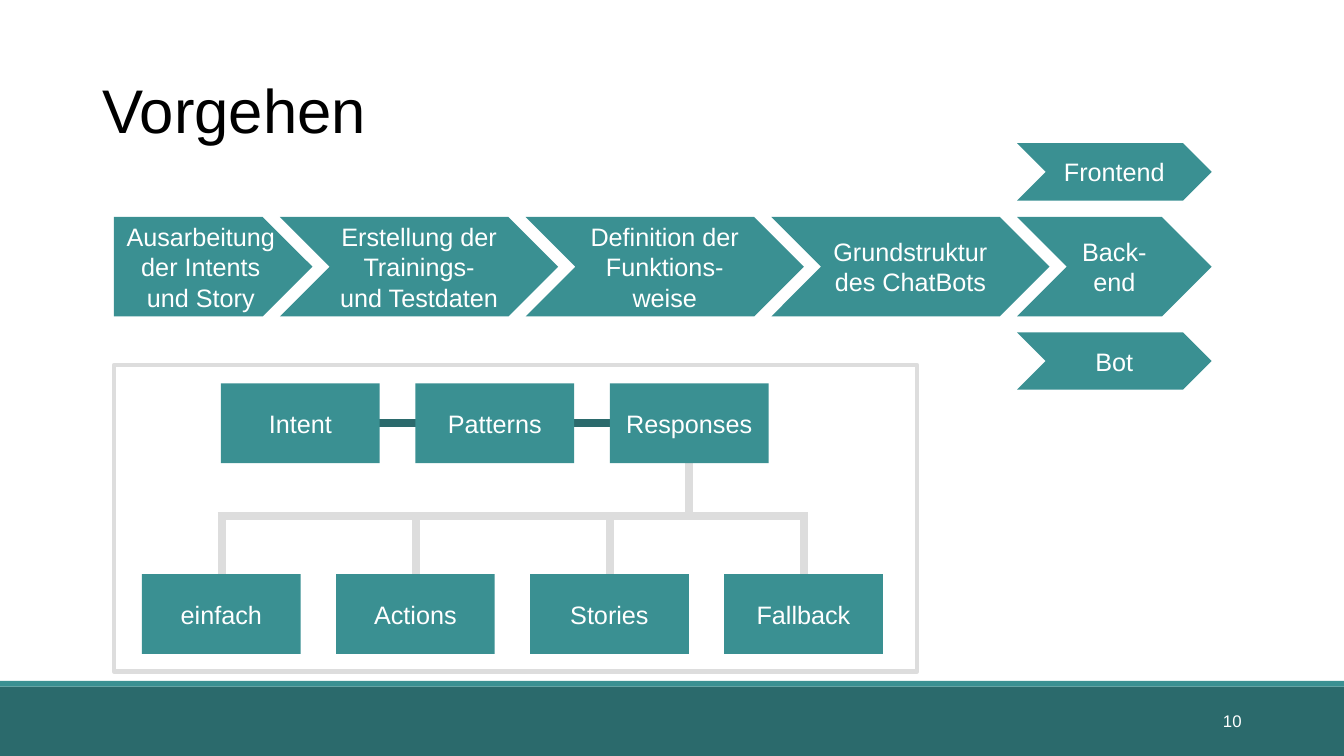
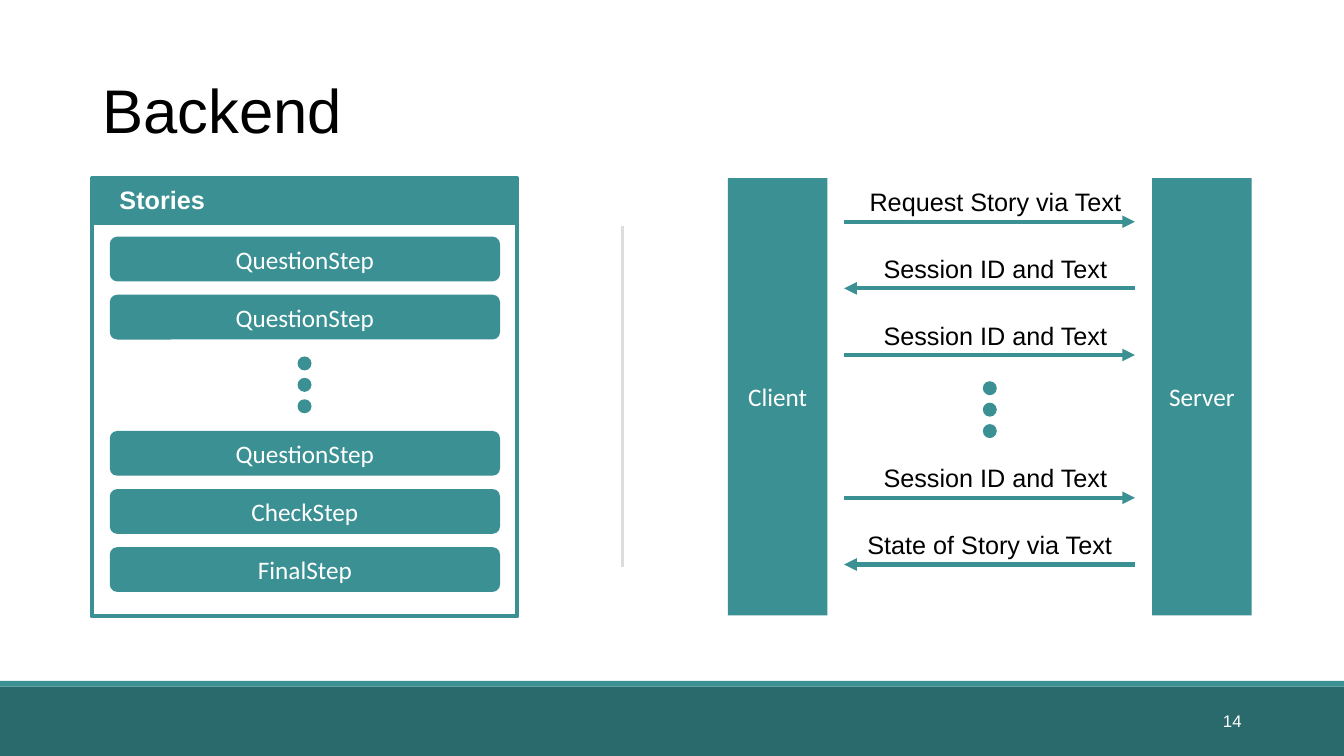
"""Builds two slides on a chatbot: the project steps and the backend."""
from dataclasses import dataclass

from lxml.etree import SubElement
from pptx import Presentation
from pptx.dml.color import RGBColor as Rgb
from pptx.enum.shapes import MSO_CONNECTOR as Wire, MSO_SHAPE as Kind
from pptx.enum.text import MSO_ANCHOR as Anchor, PP_ALIGN as Align
from pptx.oxml.ns import qn
from pptx.util import Pt


@dataclass(frozen=True)
class Theme:
    dark: Rgb = Rgb.from_string("2B6A6C")
    teal: Rgb = Rgb.from_string("3A9092")
    grey: Rgb = Rgb.from_string("DDDDDD")
    white: Rgb = Rgb.from_string("FFFFFF")
    black: Rgb = Rgb.from_string("000000")
    sans: str = "Arial"
    soft: str = "Calibri"
    head: float = 44
    body: float = 18
    foot: float = 12


theme = Theme()


def box(page, kind, place, text="", fill=None, edge=None, color=theme.white,
        size=theme.body, face=theme.sans, align=Align.CENTER):
    place = [Pt(n) for n in place]
    if kind is None:
        shape = page.shapes.add_textbox(*place)
    else:
        shape = page.shapes.add_shape(kind, *place)
        shape.shadow.inherit = False
        if fill is None:
            shape.fill.background()
        else:
            shape.fill.solid()
            shape.fill.fore_color.rgb = fill
        if edge is None:
            shape.line.fill.background()
        else:
            shape.line.color.rgb = edge
            shape.line.width = Pt(3)
    if text:
        frame = shape.text_frame
        frame.word_wrap = True
        frame.vertical_anchor = Anchor.MIDDLE
        para = frame.paragraphs[0]
        para.text = text
        para.alignment = align
        para.font.name = face
        para.font.size = Pt(size)
        para.font.color.rgb = color
    return shape


def link(page, start, end, color, width, arrow=False):
    wire = page.shapes.add_connector(Wire.STRAIGHT, *[Pt(n) for n in (*start, *end)])
    wire.line.color.rgb = color
    wire.line.width = Pt(width)
    if arrow:
        SubElement(wire.get_or_add_ln(), qn("a:tailEnd"), type="triangle")
    SubElement(wire.element.spPr, qn("a:effectLst"))


deck = Presentation()
deck.slide_width, deck.slide_height = Pt(960), Pt(540)

pages = []
for title, number in (("Vorgehen", "10"), ("Backend", "14")):
    page = deck.slides.add_slide(deck.slide_layouts[6])
    box(page, Kind.RECTANGLE, (0, 490.4, 960, 49.6), fill=theme.dark)
    box(page, Kind.RECTANGLE, (0, 486.4, 960, 4.2), fill=theme.teal)
    head = box(page, None, (66, 28.8, 828, 104.4), title, color=theme.black,
               size=theme.head, align=Align.LEFT)
    head.text_frame.paragraphs[0].line_spacing = 0.9
    box(page, None, (678, 500.5, 216, 28.8), number, size=theme.foot, align=Align.RIGHT)
    pages.append(page)
steps, back = pages

first, pitch, top, high = 200, 175.5, 155, 71
last = first + 3 * pitch
box(steps, Kind.PENTAGON, (81.4, top, 141.8, high),
    "Ausarbeitung der Intents und Story", theme.teal)
for i, text in enumerate(("Erstellung der Trainings- und Testdaten",
                          "Definition der Funktions-weise",
                          "Grundstruktur des ChatBots")):
    box(steps, Kind.CHEVRON, (first + i * pitch, top, 198.7, high), text, theme.teal)
for text, y, tall in (("Frontend", 102.3, 41), ("Back-end", top, high), ("Bot", 237.4, 41)):
    box(steps, Kind.CHEVRON, (last, y, 139, tall), text, theme.teal)

wide, tall, upper, lower, rail = 113.4, 57, 273.8, 410, 368.4
tops = [157.8 + 138.9 * i for i in range(3)]
lows = [101.4 + 138.6 * i for i in range(4)]
mids = [x + wide / 2 + 0.5 for x in lows]
stem = tops[-1] + wide / 2
link(steps, (stem, upper + tall), (stem, rail), theme.grey, 6)
link(steps, (mids[0] - 3, rail), (mids[-1] + 3, rail), theme.grey, 6)
for x in mids:
    link(steps, (x, rail), (x, lower), theme.grey, 6)
link(steps, (tops[0] + wide / 2, 302.2), (stem, 302.2), theme.dark, 6)
for xs, y, names in ((tops, upper, ("Intent", "Patterns", "Responses")),
                     (lows, lower, ("einfach", "Actions", "Stories", "Fallback"))):
    for x, text in zip(xs, names):
        box(steps, Kind.RECTANGLE, (x, y, wide, tall), text, theme.teal)
box(steps, Kind.RECTANGLE, (81.4, 260.7, 573.8, 219), edge=theme.grey)

label = box(back, Kind.RECTANGLE, (66, 126, 303.2, 33.2), "Stories", theme.teal,
            align=Align.LEFT)
label.text_frame.margin_left = Pt(19.4)
label.text_frame.paragraphs[0].font.bold = True
for y in (127.2, 159.2):
    box(back, Kind.RECTANGLE, (66, y, 303.2, 440 - y), edge=theme.teal)
for top, names in ((169, ("QuestionStep", "QuestionStep")),
                   (307.8, ("QuestionStep", "CheckStep", "FinalStep"))):
    for i, text in enumerate(names):
        box(back, Kind.ROUNDED_RECTANGLE, (78.4, top + 41.5 * i, 278.8, 32), text,
            theme.teal, face=theme.soft)
for x, y in ((212.5, 254.6), (702, 272.3)):
    for i in range(3):
        box(back, Kind.OVAL, (x, y + 15.3 * i, 10, 10), fill=theme.teal)

for x, text in ((520, "Client"), (823, "Server")):
    box(back, Kind.RECTANGLE, (x, 127.2, 71, 312.4), text, theme.teal, face=theme.soft)
left, right = 603, 810.7
for text, y, mid, ahead in (("Request Story via Text", 158.4, 711, True),
                            ("Session ID and Text", 206, 711, False),
                            ("Session ID and Text", 253.6, 711, True),
                            ("Session ID and Text", 355.6, 711, True),
                            ("State of Story via Text", 403.2, 707, False)):
    start, end = (left, right) if ahead else (right, left)
    link(back, (start, y), (end, y), theme.teal, 3, arrow=True)
    box(back, None, (mid - 104, y - 28.8, 208, 29), text, color=theme.black)
link(back, (444.4, 161.4), (444.4, 405), theme.grey, 2.25)

deck.save("out.pptx")
